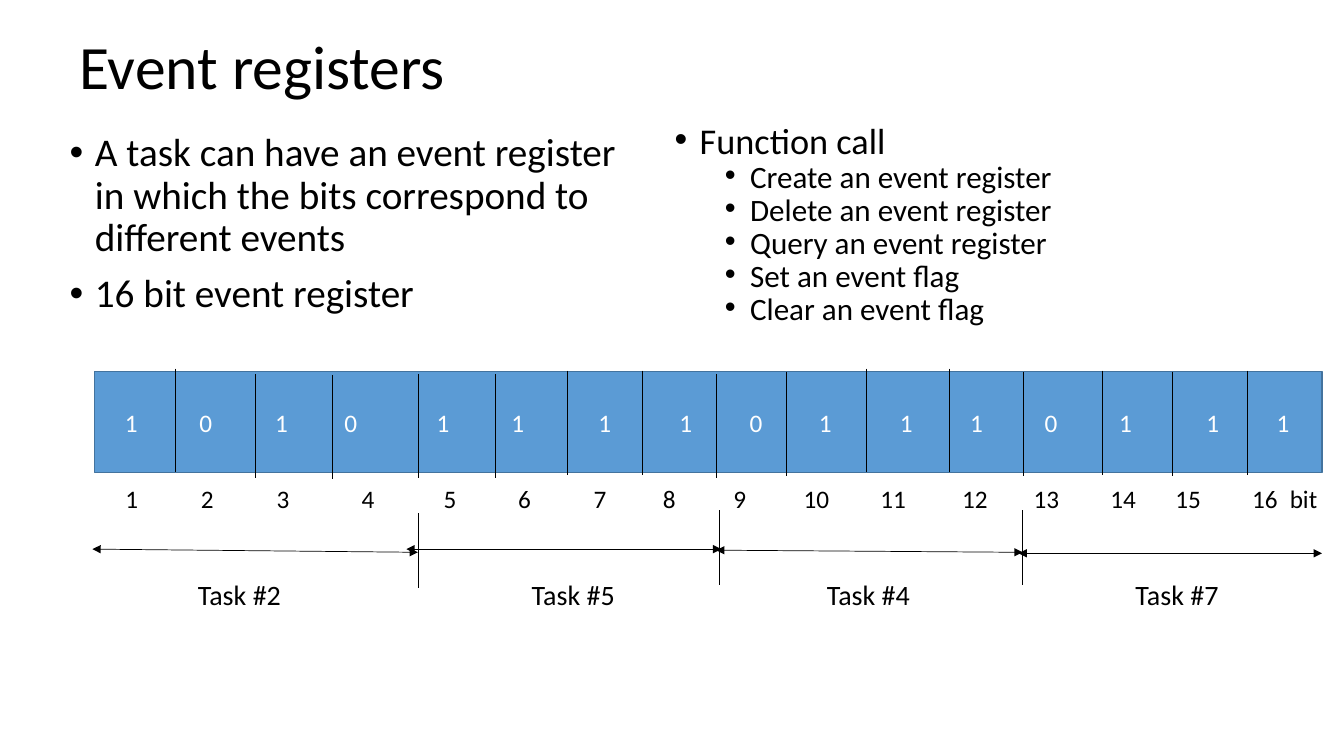
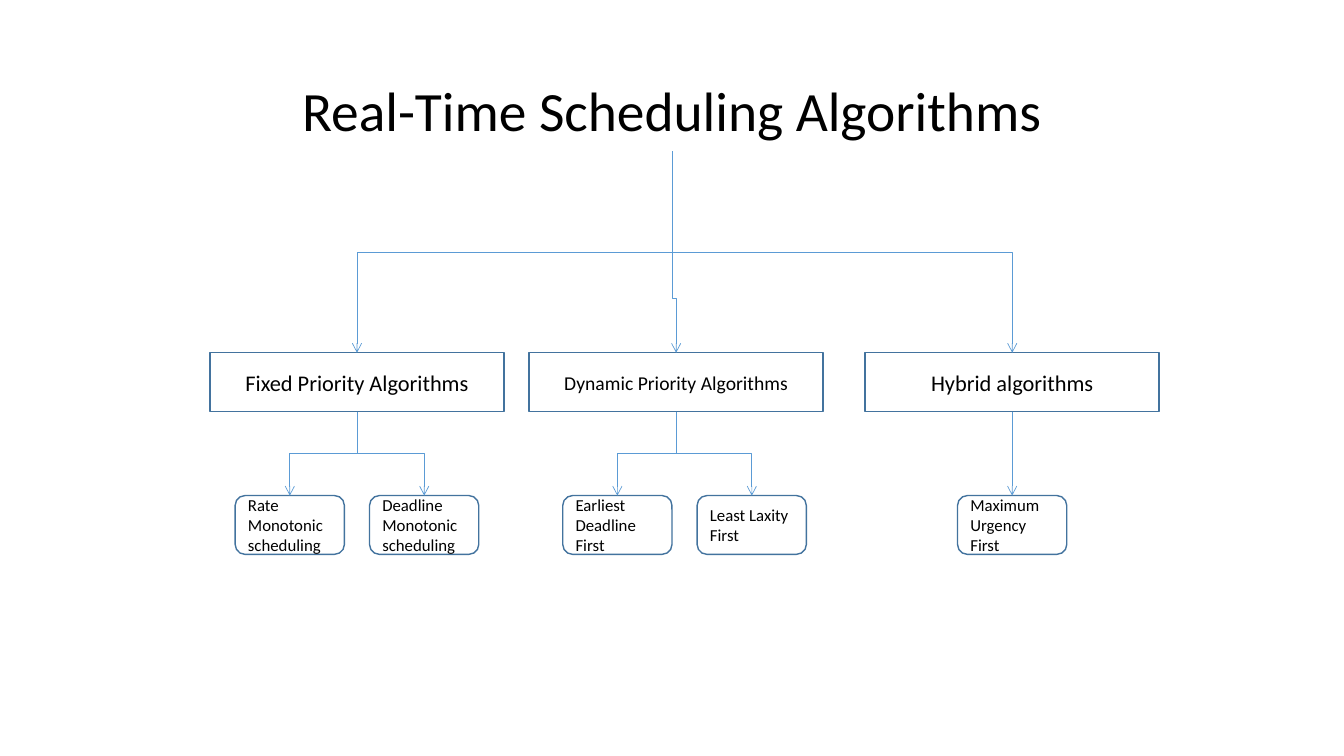
from typing import NamedTuple, Optional, Sequence

from lxml import etree
from pptx import Presentation
from pptx.dml.color import RGBColor
from pptx.enum.shapes import MSO_CONNECTOR, MSO_SHAPE
from pptx.enum.text import MSO_ANCHOR, PP_ALIGN
from pptx.oxml.ns import qn
from pptx.util import Emu, Pt

EMU_PER_PX = 9525
FONT = "Calibri"
BLACK = "000000"
WHITE = "FFFFFF"
BLUE = "5B9BD5"
DARK_BLUE = "43739E"
LEFT = PP_ALIGN.LEFT
CENTER = PP_ALIGN.CENTER
TOP = MSO_ANCHOR.TOP
MIDDLE = MSO_ANCHOR.MIDDLE
STRAIGHT = MSO_CONNECTOR.STRAIGHT
ELBOW = MSO_CONNECTOR.ELBOW
RECTANGLE = MSO_SHAPE.RECTANGLE
ROUNDED = MSO_SHAPE.ROUNDED_RECTANGLE


class Box(NamedTuple):
    left: int
    top: int
    width: int
    height: int

    @property
    def center(self) -> int:
        return self.left + self.width // 2

    @property
    def bottom(self) -> int:
        return self.top + self.height


class Segment(NamedTuple):
    x1: int
    y1: int
    x2: int
    y2: int


class Divider(NamedTuple):
    x: int
    top: int


class Task(NamedTuple):
    label: str
    left: int
    span: Segment


class Leaf(NamedTuple):
    text: str
    left: int


class Family(NamedTuple):
    text: str
    left: int
    size: int
    start: int
    leaves: tuple[Leaf, ...]


REGISTER = Box(90, 354, 1169, 96)
BITS = "1010111101110111"
BIT_STOPS = (119, 190, 262, 328, 416, 487, 570, 647,
             714, 780, 857, 924, 995, 1066, 1149, 1216)
NUMBERS = [str(number) for number in range(1, 17)] + ["bit"]
NUMBER_STOPS = (120, 192, 264, 345, 423, 494, 566, 632,
                699, 766, 839, 917, 985, 1058, 1120, 1193, 1229)
DIVIDER_HEIGHT = 99
DIVIDERS = (
    Divider(167, 351), Divider(243, 356), Divider(317, 357),
    Divider(398, 356), Divider(472, 356), Divider(540, 353),
    Divider(612, 353), Divider(682, 356), Divider(749, 354),
    Divider(825, 351), Divider(904, 351), Divider(975, 354),
    Divider(1050, 353), Divider(1117, 354), Divider(1188, 353),
)
BOUNDARY_HEIGHT = 71
BOUNDARIES = (Divider(398, 489), Divider(685, 486), Divider(974, 486))
TASKS = (
    Task("Task #2", 179, Segment(398, 526, 88, 523)),
    Task("Task #5", 497, Segment(687, 523, 387, 523)),
    Task("Task #4", 778, Segment(974, 526, 682, 524)),
    Task("Task #7", 1072, Segment(1259, 527, 970, 527)),
)

TREE_TITLE = Box(208, 72, 864, 72)
FAMILIES = (
    Family("Fixed Priority Algorithms", 200, 16, TREE_TITLE.bottom, (
        Leaf("Rate Monotonic scheduling", 224),
        Leaf("Deadline Monotonic scheduling", 352))),
    Family("Dynamic Priority Algorithms", 504, 14, 232, (
        Leaf("Earliest Deadline First", 536),
        Leaf("Least Laxity First", 664))),
    Family("Hybrid algorithms", 824, 16, TREE_TITLE.bottom, (
        Leaf("Maximum Urgency First", 912),)),
)


def px(value: int) -> Emu:
    return Emu(value * EMU_PER_PX)


def color(value: str) -> RGBColor:
    return RGBColor.from_string(value)


def add_text(shape, text: str | Sequence[str], *, size: float,
             fill: str = BLACK, align=LEFT, anchor=TOP, wrap: bool = True,
             spacing: Optional[float] = None, before: float = 0,
             bullet_indent: int = 0, level: int = 0,
             stops: Sequence[int] = (), append: bool = False) -> None:
    frame = shape.text_frame
    frame.word_wrap = wrap
    frame.vertical_anchor = anchor
    lines = [text] if isinstance(text, str) else text
    for index, line in enumerate(lines):
        first = index == 0 and not append
        paragraph = frame.paragraphs[0] if first else frame.add_paragraph()
        properties = paragraph._p.get_or_add_pPr()
        if bullet_indent:
            properties.set("marL", str(px(bullet_indent)))
            properties.set("indent", str(px(-24)))
            etree.SubElement(properties, qn("a:buFont")).set("typeface", "Arial")
            etree.SubElement(properties, qn("a:buChar")).set("char", "•")
        if stops:
            tab_list = etree.SubElement(properties, qn("a:tabLst"))
            for stop in stops[1:]:
                tab = etree.SubElement(tab_list, qn("a:tab"))
                tab.set("pos", str(px(stop - stops[0])))
                tab.set("algn", "l")
        paragraph.alignment = align
        paragraph.level = level
        if spacing:
            paragraph.line_spacing = spacing
        if before and not first:
            paragraph.space_before = Pt(before)
        run = paragraph.add_run()
        run.text = line
        run.font.name = FONT
        run.font.size = Pt(size)
        run.font.color.rgb = color(fill)


def add_text_box(slide, box: Box):
    return slide.shapes.add_textbox(*map(px, box))


def add_title(slide, text: str, box: Box, *, size: float, align=LEFT) -> None:
    add_text(add_text_box(slide, box), text, size=size, align=align,
             anchor=MIDDLE, spacing=0.9)


def add_box(slide, kind, box: Box, fill: Optional[str] = None):
    shape = slide.shapes.add_shape(kind, *map(px, box))
    shape.shadow.inherit = False
    if fill:
        shape.fill.solid()
        shape.fill.fore_color.rgb = color(fill)
    else:
        shape.fill.background()
    shape.line.color.rgb = color(DARK_BLUE)
    shape.line.width = Pt(1)
    return shape


def add_line(slide, segment: Segment, *, kind=STRAIGHT, stroke: str = BLACK,
             head: str = "", tail: str = ""):
    connector = slide.shapes.add_connector(kind, *map(px, segment))
    connector.line.color.rgb = color(stroke)
    connector.line.width = Pt(0.5)
    line = connector.line._get_or_add_ln()
    for tag, arrow in (("a:headEnd", head), ("a:tailEnd", tail)):
        if arrow:
            etree.SubElement(line, qn(tag)).set("type", arrow)
    etree.SubElement(connector._element.spPr, qn("a:effectLst"))
    return connector


def add_branch(slide, segment: Segment) -> None:
    x1, y1, x2, y2 = segment
    if x1 == x2:
        add_line(slide, segment, stroke=BLUE, tail="arrow")
        return
    center_x, center_y = (x1 + x2) // 2, (y1 + y2) // 2
    half_width, half_height = (y2 - y1) // 2, abs(x2 - x1) // 2
    turned = Segment(center_x - half_width, center_y - half_height,
                     center_x + half_width, center_y + half_height)
    connector = add_line(slide, turned, kind=ELBOW, stroke=BLUE, tail="arrow")
    transform = connector._element.spPr.find(qn("a:xfrm"))
    if x2 < x1:
        transform.set("rot", "5400000")
    else:
        transform.set("rot", "16200000")
        transform.set("flipH", "1")


def build_event_registers(slide) -> None:
    add_title(slide, "Event registers", Box(66, 13, 1104, 106), size=44)
    add_text(add_text_box(slide, Box(57, 122, 555, 190)), [
        "A task can have an event register in which the bits correspond to "
        "different events",
        "16 bit event register",
    ], size=28, spacing=0.9, before=10, bullet_indent=24)

    calls = add_text_box(slide, Box(633, 119, 555, 213))
    add_text(calls, "Function call", size=25.9, spacing=0.7, bullet_indent=24)
    add_text(calls, [
        "Create an event register",
        "Delete an event register",
        "Query an event register",
        "Set an event flag",
        "Clear an event flag",
    ], size=22.2, spacing=0.7, before=5, bullet_indent=72, level=1, append=True)

    register = add_box(slide, RECTANGLE, REGISTER, BLUE)
    register.text_frame.margin_left = px(BIT_STOPS[0] - REGISTER.left)
    add_text(register, "\t".join(BITS), size=18, fill=WHITE, anchor=MIDDLE,
             stops=BIT_STOPS)
    numbers = add_text_box(slide, Box(110, 456, 1160, 38))
    add_text(numbers, "\t".join(NUMBERS), size=18, stops=NUMBER_STOPS)

    for dividers, height in ((DIVIDERS, DIVIDER_HEIGHT),
                             (BOUNDARIES, BOUNDARY_HEIGHT)):
        for x, top in dividers:
            add_line(slide, Segment(x, top, x, top + height))
    for task in TASKS:
        add_line(slide, task.span, head="triangle", tail="triangle")
        label = add_text_box(slide, Box(task.left, 545, 100, 42))
        add_text(label, task.label, size=20, wrap=False)


def build_scheduling_tree(slide) -> None:
    add_title(slide, "Real-Time Scheduling Algorithms", TREE_TITLE,
              size=39.6, align=CENTER)
    for family in FAMILIES:
        box = Box(family.left, 336, 280, 56)
        add_text(add_box(slide, RECTANGLE, box), family.text,
                 size=family.size, align=CENTER, anchor=MIDDLE)
        add_branch(slide, Segment(TREE_TITLE.center, family.start,
                                  box.center, box.top))
        for leaf in family.leaves:
            leaf_box = Box(leaf.left, 472, 104, 56)
            add_text(add_box(slide, ROUNDED, leaf_box), leaf.text,
                     size=12, anchor=MIDDLE)
            add_branch(slide, Segment(box.center, box.bottom,
                                      leaf_box.center, leaf_box.top))


def main() -> None:
    presentation = Presentation()
    presentation.slide_width = px(1280)
    presentation.slide_height = px(720)
    blank = presentation.slide_layouts[6]
    for build in (build_event_registers, build_scheduling_tree):
        build(presentation.slides.add_slide(blank))
    presentation.save("out.pptx")


if __name__ == "__main__":
    main()
